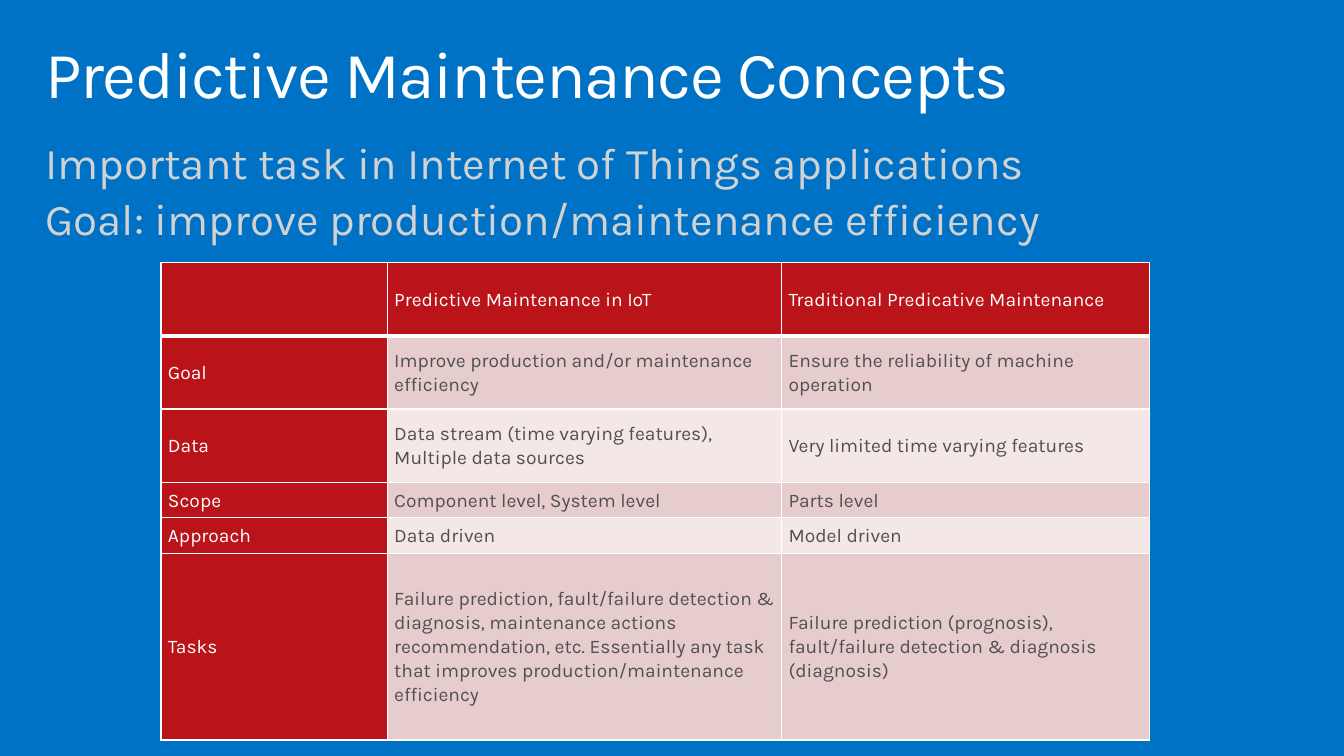
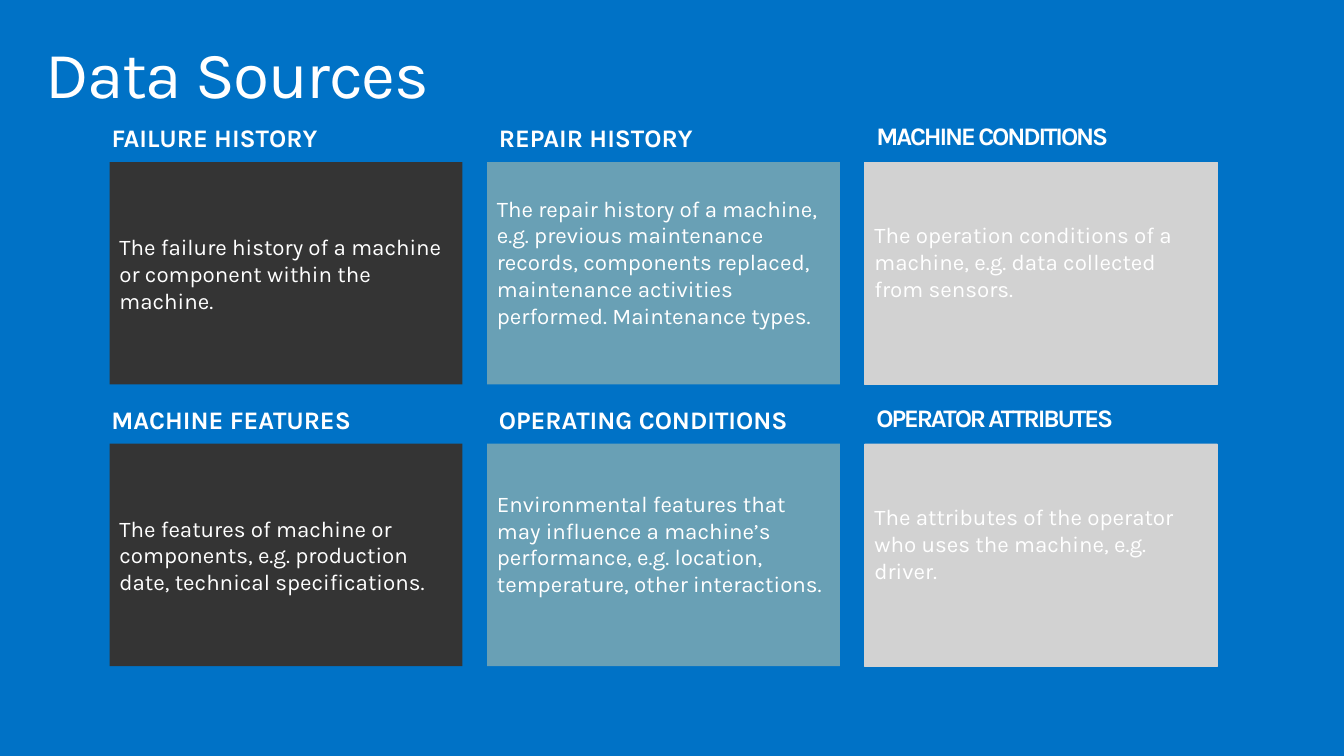
from lxml import etree
from pptx import Presentation
from pptx import util as u
from pptx.dml.color import RGBColor
from pptx.enum import shapes, text
from pptx.oxml import ns

PX = 9144
FONT = "Karla"
COLOURS = {
    "background": "0072C6",
    "white": "FFFFFF",
    "subtitle": "D2D2D2",
    "table_text": "505050",
    "header": "BA141A",
    "odd_row": "E7CCCD",
    "even_row": "F3E7E8",
    "charcoal": "343434",
    "teal": "69A0B5",
    "silver": "D2D2D2",
}

COLUMN_WIDTHS = [229, 399, 372]
ROW_HEIGHTS = [74, 74, 74, 36, 36, 189]
COMPARISON = [
    ["", "Predictive Maintenance in IoT", "Traditional Predicative Maintenance"],
    ["Goal", "Improve production and/or maintenance efficiency",
     "Ensure the reliability of machine operation"],
    ["Data", "Data stream (time varying features), Multiple data sources",
     "Very limited time varying features"],
    ["Scope", "Component level, System level", "Parts level"],
    ["Approach", "Data driven", "Model driven"],
    ["Tasks",
     "Failure prediction, fault/failure detection & diagnosis, maintenance actions "
     "recommendation, etc. Essentially any task that improves production/maintenance efficiency",
     "Failure prediction (prognosis), fault/failure detection & diagnosis (diagnosis)"],
]

CARD_LEFT, CARD_TOP = 111, 164
CARD_WIDTH, CARD_HEIGHT = 357, 225
COLUMN_STEP, ROW_STEP = 382, 285
CARD_COLUMNS = [
    {"fill": "charcoal", "outline": None, "bottom": 5, "heading": (-8, -45), "spacing": 0},
    {"fill": "teal", "outline": None, "bottom": 28, "heading": (2, -45), "spacing": 0},
    {"fill": "silver", "outline": "silver", "bottom": 28, "heading": (2, -47), "spacing": -1.5},
]
SOURCES = [
    [("FAILURE HISTORY", 231,
      "The failure history of a machine or component within the machine."),
     ("REPAIR HISTORY", 218,
      "The repair history of a machine, e.g. previous maintenance records, components "
      "replaced, maintenance activities performed. Maintenance types."),
     ("MACHINE CONDITIONS", 266,
      "The operation conditions of a machine, e.g. data collected from sensors.")],
    [("MACHINE FEATURES", 266,
      "The features of machine or components, e.g. production date, technical specifications."),
     ("OPERATING CONDITIONS", 328,
      "Environmental features that may influence a machine’s performance, e.g. location, "
      "temperature, other interactions."),
     ("OPERATOR ATTRIBUTES", 263,
      "The attributes of the operator who uses the machine, e.g. driver.")],
]


def px(*lengths):
    return [length * PX for length in lengths]


def rgb(name):
    return RGBColor.from_string(COLOURS[name])


def write(frame, lines, size, colour, bold=False, line_spacing=None, before=0, spacing=0):
    for index, line in enumerate(lines):
        paragraph = frame.add_paragraph() if index else frame.paragraphs[0]
        paragraph.alignment = text.PP_ALIGN.LEFT
        paragraph.space_before = u.Pt(before)
        if line_spacing:
            paragraph.line_spacing = line_spacing
        font = paragraph.font
        font.name, font.size, font.bold = FONT, u.Pt(size), bold
        font.color.rgb = rgb(colour)
        run = paragraph.add_run()
        run.text = line
        if spacing:
            run._r.get_or_add_rPr().set("spc", str(int(spacing * 100)))


def set_margins(frame, left, top, right, bottom):
    frame.margin_left, frame.margin_top, frame.margin_right, frame.margin_bottom = px(
        left, top, right, bottom)


def add_text(slide, box, lines, size, colour, wrap=True, margins=(10, 5, 10, 5), **style):
    frame = slide.shapes.add_textbox(*px(*box)).text_frame
    frame.word_wrap = wrap
    set_margins(frame, *margins)
    write(frame, lines, size, colour, **style)


def add_titled_slide(presentation, title):
    slide = presentation.slides.add_slide(presentation.slide_layouts[6])
    slide.background.fill.solid()
    slide.background.fill.fore_color.rgb = rgb("background")
    add_text(slide, (30, 32, 1300, 100), [title], 48, "white",
             margins=(16, 10, 16, 10), line_spacing=0.9, spacing=-1)
    return slide


def set_borders(cell, bottom_width):
    properties = cell._tc.get_or_add_tcPr()
    for side, width in (("L", 1), ("R", 1), ("T", 1), ("B", bottom_width)):
        line = etree.SubElement(properties, ns.qn(f"a:ln{side}"), w=str(u.Pt(width)))
        fill = etree.SubElement(line, ns.qn("a:solidFill"))
        etree.SubElement(fill, ns.qn("a:srgbClr"), val=COLOURS["white"])


def add_comparison_table(slide, left, top):
    box = px(left, top, sum(COLUMN_WIDTHS), sum(ROW_HEIGHTS))
    table = slide.shapes.add_table(len(ROW_HEIGHTS), len(COLUMN_WIDTHS), *box).table
    for column, width in zip(table.columns, COLUMN_WIDTHS):
        column.width = width * PX
    for row, height in zip(table.rows, ROW_HEIGHTS):
        row.height = height * PX
    for row, values in enumerate(COMPARISON):
        for column, value in enumerate(values):
            cell = table.cell(row, column)
            is_header = row == 0 or column == 0
            set_borders(cell, 1 if row else 3)
            cell.fill.solid()
            band = "odd_row" if row % 2 else "even_row"
            cell.fill.fore_color.rgb = rgb("header" if is_header else band)
            cell.vertical_anchor = text.MSO_ANCHOR.MIDDLE
            set_margins(cell, 7, 0, 7, 0)
            if value:
                write(cell.text_frame, [value], 14,
                      "white" if is_header else "table_text", line_spacing=1.07)


def add_card(slide, left, top, description, design):
    shape = slide.shapes.add_shape(
        shapes.MSO_SHAPE.RECTANGLE, *px(left, top, CARD_WIDTH, CARD_HEIGHT))
    shape.shadow.inherit = False
    shape.fill.solid()
    shape.fill.fore_color.rgb = rgb(design["fill"])
    if design["outline"]:
        shape.line.color.rgb = rgb(design["outline"])
        shape.line.width = u.Pt(0.25)
    else:
        shape.line.fill.background()
    frame = shape.text_frame
    frame.word_wrap = True
    frame.vertical_anchor = text.MSO_ANCHOR.MIDDLE
    set_margins(frame, 10, 5, 10, design["bottom"])
    write(frame, [description], 16.3, "white")


def add_source_grid(slide):
    for row, sources in enumerate(SOURCES):
        top = CARD_TOP + row * ROW_STEP
        for column, (heading, width, description) in enumerate(sources):
            left = CARD_LEFT + column * COLUMN_STEP
            design = CARD_COLUMNS[column]
            shift_x, shift_y = design["heading"]
            add_card(slide, left, top, description, design)
            add_text(slide, (left + shift_x, top + shift_y, width, 42), [heading], 18.4,
                     "white", wrap=False, bold=True, spacing=design["spacing"])


def main():
    presentation = Presentation()
    presentation.slide_width, presentation.slide_height = px(1360, 765)

    concepts = add_titled_slide(presentation, "Predictive Maintenance Concepts")
    add_text(concepts, (30, 133, 1300, 233),
             ["Important task in Internet of Things applications",
              "Goal: improve production/maintenance efficiency"],
             32, "subtitle", margins=(16, 10, 16, 10), line_spacing=0.9, before=6.4)
    add_comparison_table(concepts, 163, 266)

    sources = add_titled_slide(presentation, "Data Sources")
    add_source_grid(sources)

    presentation.save("out.pptx")


if __name__ == "__main__":
    main()
